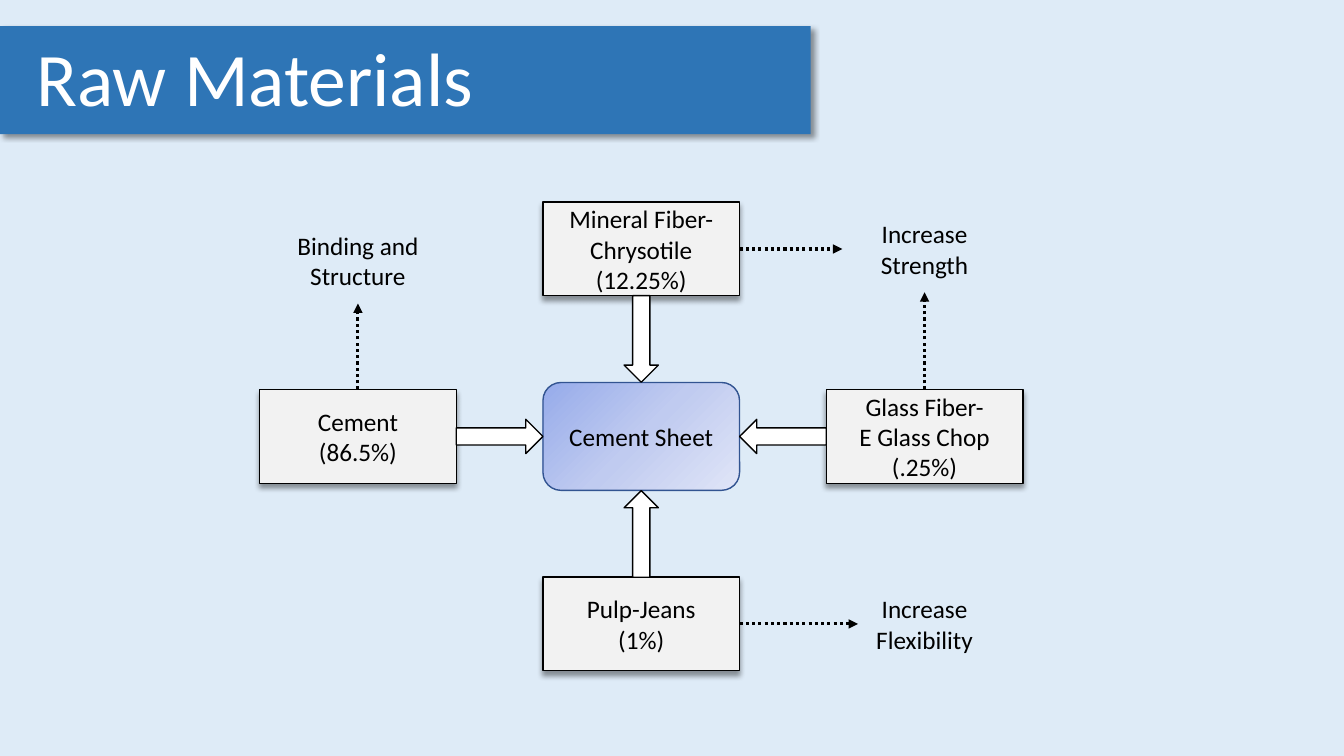
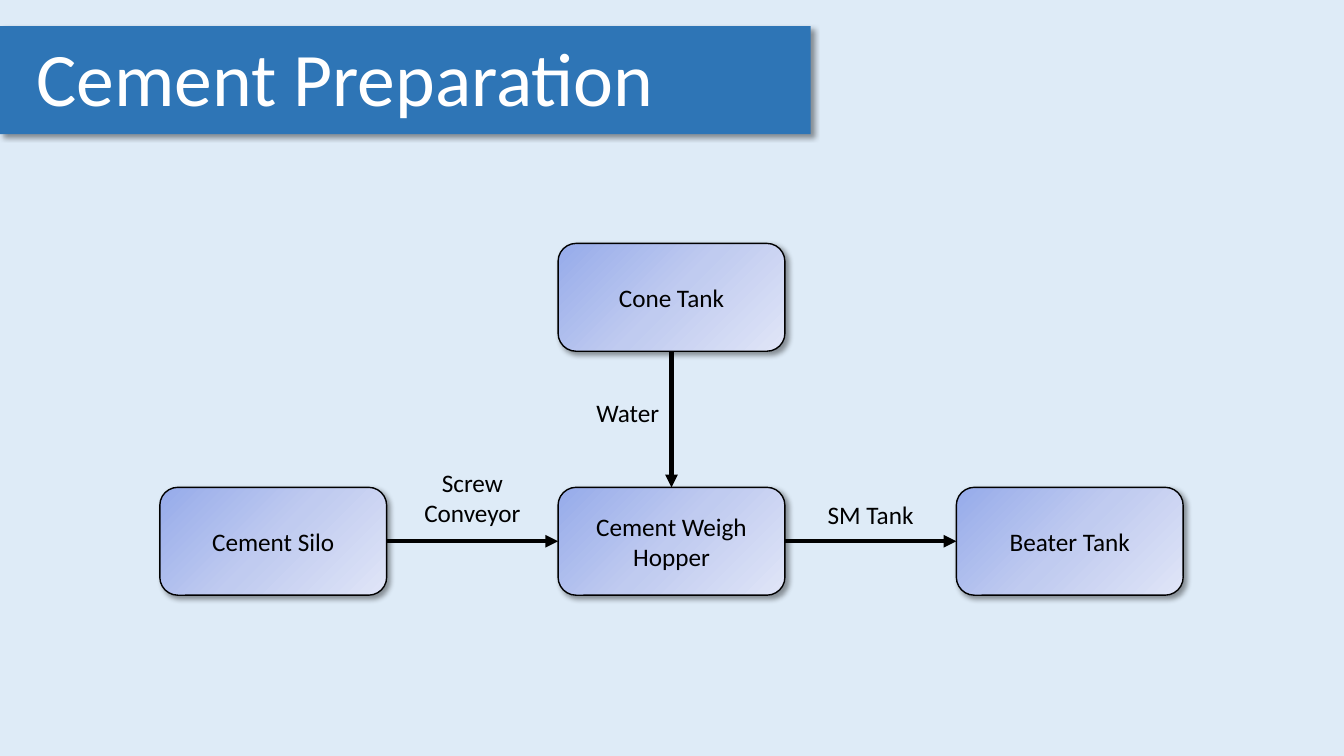
"""Build two slides on cement sheet raw materials and cement preparation."""
from copy import deepcopy
from dataclasses import dataclass

from lxml import etree
from pptx import Presentation
from pptx import util as u
from pptx.dml.color import RGBColor
from pptx.enum import dml, shapes, text
from pptx.oxml.ns import qn

COLORS = {
    "background": "DEEBF7",
    "banner": "2E75B6",
    "title": "FFFFFF",
    "ink": "000000",
    "material": "F2F2F2",
    "flow": "FFFFFF",
    "product_line": "325491",
}
GRADIENT = ((0, "96ABEA"), (50, "C0CBF0"), (100, "E0E5F7"))
FONT = "Calibri"
ROUNDED = shapes.MSO_SHAPE.ROUNDED_RECTANGLE
RECT = shapes.MSO_SHAPE.RECTANGLE
TOP, LEFT, BOTTOM, RIGHT = range(4)


@dataclass
class Grid:
    """Centres of cells, counted from a middle cell."""
    x: float
    y: float
    dx: float
    dy: float

    def place(self, col, row, size):
        """Return left, top, width and height of an element centred on a cell."""
        w, h = size
        left = self.x + col * self.dx - w / 2
        top = self.y + row * self.dy - h / 2
        return [u.Inches(v) for v in (left, top, w, h)]


def rgb(name):
    """Return a colour of the palette."""
    return RGBColor.from_string(COLORS[name])


def set_text(sp, content, size=18, color="ink", align=text.PP_ALIGN.CENTER,
             anchor=text.MSO_ANCHOR.MIDDLE):
    """Write and format the text of a shape."""
    tf = sp.text_frame
    tf.text = content
    tf.word_wrap = True
    tf.auto_size = text.MSO_AUTO_SIZE.NONE
    tf.vertical_anchor = anchor
    for p in tf.paragraphs:
        p.alignment = align
        for r in p.runs:
            r.font.name = FONT
            r.font.size = u.Pt(size)
            r.font.color.rgb = rgb(color)


def add_shadow(sp, angle):
    """Give a shape a soft shadow cast at an angle in degrees."""
    sp.shadow.inherit = False
    effects = sp._element.spPr.find(qn("a:effectLst"))
    shadow = etree.SubElement(
        effects, qn("a:outerShdw"), blurRad=str(u.Pt(4)), dist=str(u.Pt(3)),
        dir=str(angle * 60000), algn="tl", rotWithShape="0")
    color = etree.SubElement(shadow, qn("a:srgbClr"), val=COLORS["ink"])
    etree.SubElement(color, qn("a:alpha"), val="40000")


def fill_gradient(sp):
    """Fill a shape with the diagonal gradient."""
    sp.fill.gradient()
    sp.fill.gradient_angle = 315
    stops = sp._element.spPr.find(qn("a:gradFill")).find(qn("a:gsLst"))
    stops.insert(1, deepcopy(stops[0]))
    for stop, (position, color) in zip(sp.fill.gradient_stops, GRADIENT):
        stop.position = position / 100
        stop.color.rgb = RGBColor.from_string(color)


def add_block(s, kind, box, fill=None, line="ink", shadow=None, content=""):
    """Add an outlined shape; without a fill colour it takes the gradient."""
    sp = s.shapes.add_shape(kind, *box)
    sp.shadow.inherit = False
    if fill:
        sp.fill.solid()
        sp.fill.fore_color.rgb = rgb(fill)
    else:
        fill_gradient(sp)
    sp.line.color.rgb = rgb(line)
    sp.line.width = u.Pt(1)
    if shadow is not None:
        add_shadow(sp, shadow)
    if content:
        set_text(sp, content)
    return sp


def add_label(s, box, content):
    """Add a plain centred label."""
    sp = s.shapes.add_textbox(*box)
    set_text(sp, content)
    return sp


def add_arrow(s, start, start_side, end, end_side, width, dash=None):
    """Join two shapes with a straight arrow."""
    line = s.shapes.add_connector(shapes.MSO_CONNECTOR.STRAIGHT, 0, 0, 0, 0)
    line.begin_connect(start, start_side)
    line.end_connect(end, end_side)
    line.line.color.rgb = rgb("ink")
    line.line.width = u.Pt(width)
    if dash:
        line.line.dash_style = dash
    spPr = line._element.spPr
    etree.SubElement(spPr.find(qn("a:ln")), qn("a:tailEnd"), type="triangle")
    etree.SubElement(spPr, qn("a:effectLst"))


def add_slide(prs, title):
    """Add a slide whose title is a banner from the left edge."""
    s = prs.slides.add_slide(prs.slide_layouts[5])
    sp = s.shapes.title
    sp.left, sp.top = 0, u.Inches(0.26)
    sp.width, sp.height = u.Inches(8.04), u.Inches(1.07)
    sp.fill.solid()
    sp.fill.fore_color.rgb = rgb("banner")
    add_shadow(sp, 45)
    set_text(sp, title, 54, "title", text.PP_ALIGN.LEFT, text.MSO_ANCHOR.TOP)
    sp.text_frame.margin_left = u.Inches(0.36)
    return s


def build_materials(prs):
    """Show the materials around the sheet and what each one adds."""
    s = add_slide(prs, "Raw Materials")
    grid = Grid(6.36, 4.33, 2.81, 1.86)
    add_block(s, ROUNDED, grid.place(0, 0, (1.95, 1.07)),
              line="product_line", content="Cement Sheet")
    materials = (
        ("Mineral Fiber-Chrysotile\n(12.25%)", 0, -1, RIGHT,
         "Increase Strength", 1, -1, 1.63, LEFT),
        ("Pulp-Jeans\n(1%)", 0, 1, RIGHT,
         "Increase Flexibility", 1, 1, 1.32, LEFT),
        ("Cement\n(86.5%)", -1, 0, TOP,
         "Binding and Structure", -1, -0.94, 1.61, BOTTOM),
        ("Glass Fiber-\nE Glass Chop\n(.25%)", 1, 0, TOP,
         "Increase Strength", 1, -1, 1.63, BOTTOM),
    )
    labels = {}
    for name, col, row, side, effect, ecol, erow, width, eside in materials:
        sp = add_block(s, RECT, grid.place(col, row, (1.95, 0.93)),
                       "material", shadow=90, content=name)
        if effect not in labels:
            box = grid.place(ecol, erow, (width, 0.86))
            labels[effect] = add_label(s, box, effect)
        add_arrow(s, sp, side, labels[effect], eside, 2.25,
                  dml.MSO_LINE.ROUND_DOT)
    for col, row, angle in ((0, -0.52, 90), (0, 0.52, 270),
                            (-0.5, 0, 0), (0.5, 0, 180)):
        sp = add_block(s, shapes.MSO_SHAPE.RIGHT_ARROW,
                       grid.place(col, row, (0.86, 0.34)), "flow")
        sp.rotation = angle


def build_preparation(prs):
    """Show how cement and water reach the beater tank."""
    s = add_slide(prs, "Cement Preparation")
    grid = Grid(6.66, 5.37, 3.95, 2.42)
    cone, beater, hopper, silo = [
        add_block(s, ROUNDED, grid.place(col, row, (2.25, 1.07)),
                  shadow=45, content=name)
        for name, col, row in (("Cone Tank", 0, -1), ("Beater Tank", 1, 0),
                               ("Cement Weigh Hopper", 0, 0),
                               ("Cement Silo", -1, 0))]
    for start, side, end, end_side in ((silo, RIGHT, hopper, LEFT),
                                       (hopper, RIGHT, beater, LEFT),
                                       (cone, BOTTOM, hopper, TOP)):
        add_arrow(s, start, side, end, end_side, 3)
    for name, col, row, size in (("SM Tank", 0.5, -0.11, (1.15, 0.4)),
                                 ("Screw Conveyor", -0.5, -0.18, (1.42, 0.71)),
                                 ("Water", -0.11, -0.53, (0.91, 0.4))):
        add_label(s, grid.place(col, row, size), name)


def main():
    """Build and save the presentation."""
    prs = Presentation()
    prs.slide_width, prs.slide_height = u.Inches(13.33), u.Inches(7.5)
    fill = prs.slide_master.background.fill
    fill.solid()
    fill.fore_color.rgb = rgb("background")
    build_materials(prs)
    build_preparation(prs)
    prs.save("out.pptx")


if __name__ == "__main__":
    main()
